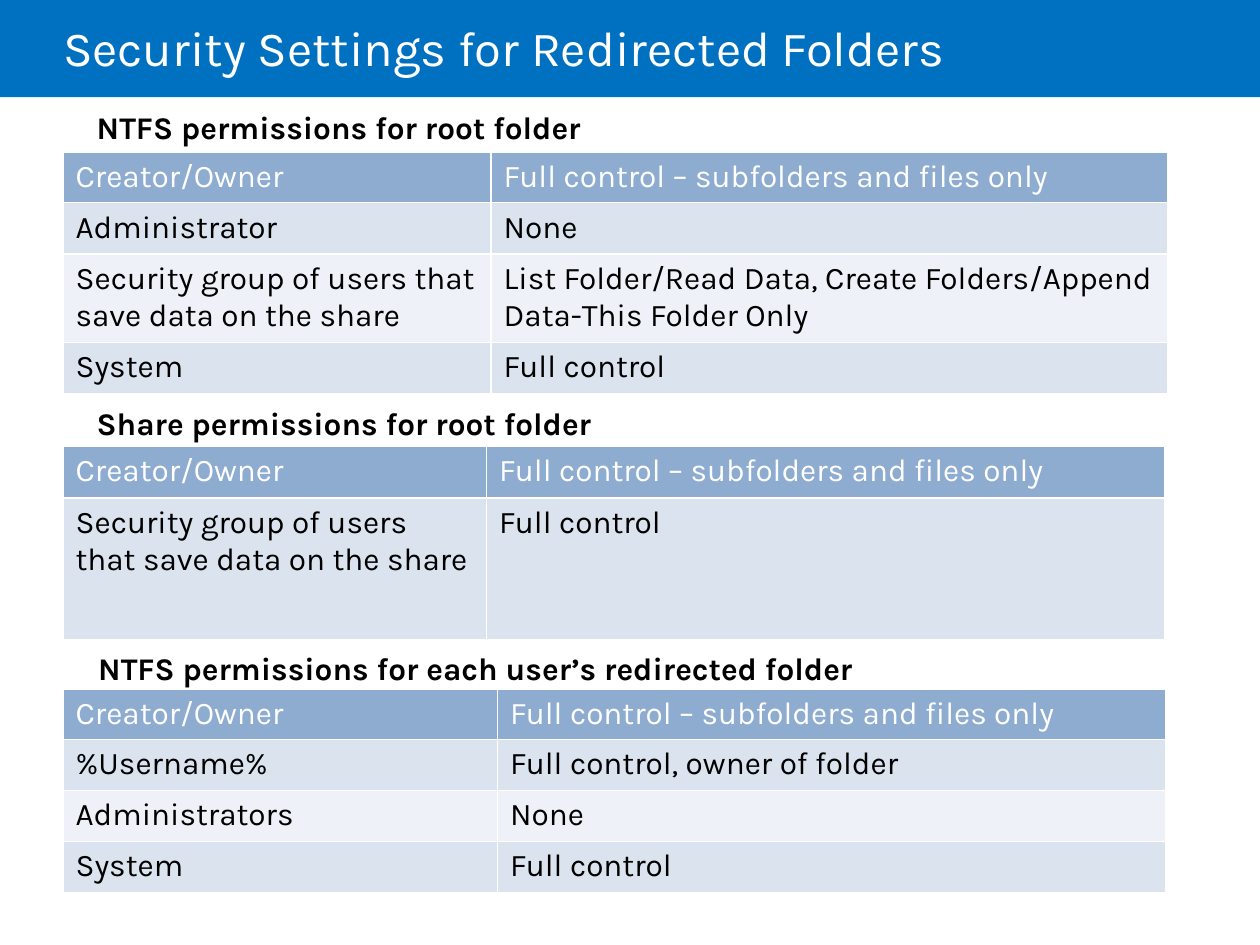
"""Build the slide of security settings for redirected folders."""
from lxml import etree
from pptx import Presentation
from pptx.dml.color import RGBColor
from pptx.enum.shapes import MSO_SHAPE
from pptx.enum.text import MSO_ANCHOR, MSO_AUTO_SIZE, PP_ALIGN
from pptx.oxml.ns import qn
from pptx.util import Cm, Pt

RECTANGLE = MSO_SHAPE.RECTANGLE
MIDDLE = MSO_ANCHOR.MIDDLE
FIT_SHAPE = MSO_AUTO_SIZE.SHAPE_TO_FIT_TEXT
NO_FIT = MSO_AUTO_SIZE.NONE
LEFT = PP_ALIGN.LEFT

FONT = "Karla"
WHITE, BLACK, BLUE = "FFFFFF", "000000", "0070C0"
HEADER_FILL = "8DACD0"
BAND_FILLS = ("DBE3EE", "EEF1F7")
TABLE_LEFT = 1.27

TITLE = "Security Settings for Redirected Folders"
HEADER = ("Creator/Owner", "Full control – subfolders and files only")
SAVING_GROUP = "Security group of users that save data on the share"
SECTIONS = [
    {
        "heading": "NTFS permissions for root folder",
        "heading_box": (1.7, 2.06, 10.5, 1.02),
        "table_top": 3.07,
        "columns": (8.63, 13.65),
        "heights": (1, 1.03, 1.79, 1.03),
        "permissions": [
            ("Administrator", "None"),
            (SAVING_GROUP, "List Folder/Read Data, Create Folders/Append Data-This Folder Only"),
            ("System", "Full control"),
        ],
    },
    {
        "heading": "Share permissions for root folder",
        "heading_box": (1.7, 8.03, 10.6, 1.02),
        "table_top": 8.99,
        "columns": (8.54, 13.68),
        "heights": (1.05, 2.86),
        "permissions": [(SAVING_GROUP, "Full control")],
    },
    {
        "heading": "NTFS permissions for each user’s redirected folder",
        "heading_box": (1.73, 12.95, 16.5, 1.02),
        "table_top": 13.89,
        "columns": (8.76, 13.46),
        "heights": (1, 1.03, 1.03, 1.03),
        "permissions": [
            ("%Username%", "Full control, owner of folder"),
            ("Administrators", "None"),
            ("System", "Full control"),
        ],
    },
]


def paint(fill, color):
    fill.solid()
    fill.fore_color.rgb = RGBColor.from_string(color)


def write(frame, text, size, color, bold=False):
    frame.text = text
    font = frame.paragraphs[0].runs[0].font
    font.name, font.size, font.bold = FONT, Pt(size), bold
    paint(font.fill, color)


def add_borders(cell):
    properties = cell._tc.get_or_add_tcPr()
    for side in "LRTB":
        line = etree.SubElement(properties, qn(f"a:ln{side}"), w=str(Pt(1)))
        fill = etree.SubElement(line, qn("a:solidFill"))
        etree.SubElement(fill, qn("a:srgbClr"), val=WHITE)


def add_title(slide):
    band = slide.shapes.add_shape(RECTANGLE, 0, 0, Cm(25.4), Cm(1.96))
    band.shadow.inherit = False
    paint(band.fill, BLUE)
    band.line.fill.background()
    slide.shapes._spTree.insert(2, band._element)

    title = slide.shapes.title
    title.left, title.top, title.width, title.height = Cm(1.27), Cm(0), Cm(21.59), Cm(2.06)
    frame = title.text_frame
    write(frame, TITLE, 28, WHITE)
    frame.margin_left = 0
    frame.vertical_anchor = MIDDLE
    frame.auto_size = NO_FIT
    frame.paragraphs[0].alignment = LEFT
    frame.paragraphs[0].line_spacing = 0.85


def add_heading(slide, section):
    heading = slide.shapes.add_textbox(*map(Cm, section["heading_box"]))
    heading.text_frame.word_wrap = True
    heading.text_frame.auto_size = FIT_SHAPE
    write(heading.text_frame, section["heading"], 18, BLACK, bold=True)


def add_permissions(slide, section):
    rows = [HEADER, *section["permissions"]]
    columns, heights = section["columns"], section["heights"]
    table = slide.shapes.add_table(
        len(rows), len(columns), Cm(TABLE_LEFT), Cm(section["table_top"]),
        Cm(sum(columns)), Cm(sum(heights)),
    ).table
    table.first_row = table.horz_banding = False
    for column, width in zip(table.columns, columns):
        column.width = Cm(width)
    for number, (row, height, texts) in enumerate(zip(table.rows, heights, rows)):
        is_header = number == 0
        row.height = Cm(height)
        for cell, text in zip(row.cells, texts):
            write(cell.text_frame, text, 18, WHITE if is_header else BLACK)
            add_borders(cell)
            paint(cell.fill, HEADER_FILL if is_header else BAND_FILLS[(number - 1) % 2])


def main():
    presentation = Presentation()
    presentation.slide_width, presentation.slide_height = Cm(25.4), Cm(19.05)
    slide = presentation.slides.add_slide(presentation.slide_layouts[5])
    add_title(slide)
    for section in SECTIONS:
        add_heading(slide, section)
    for section in SECTIONS:
        add_permissions(slide, section)
    presentation.save("out.pptx")


if __name__ == "__main__":
    main()
